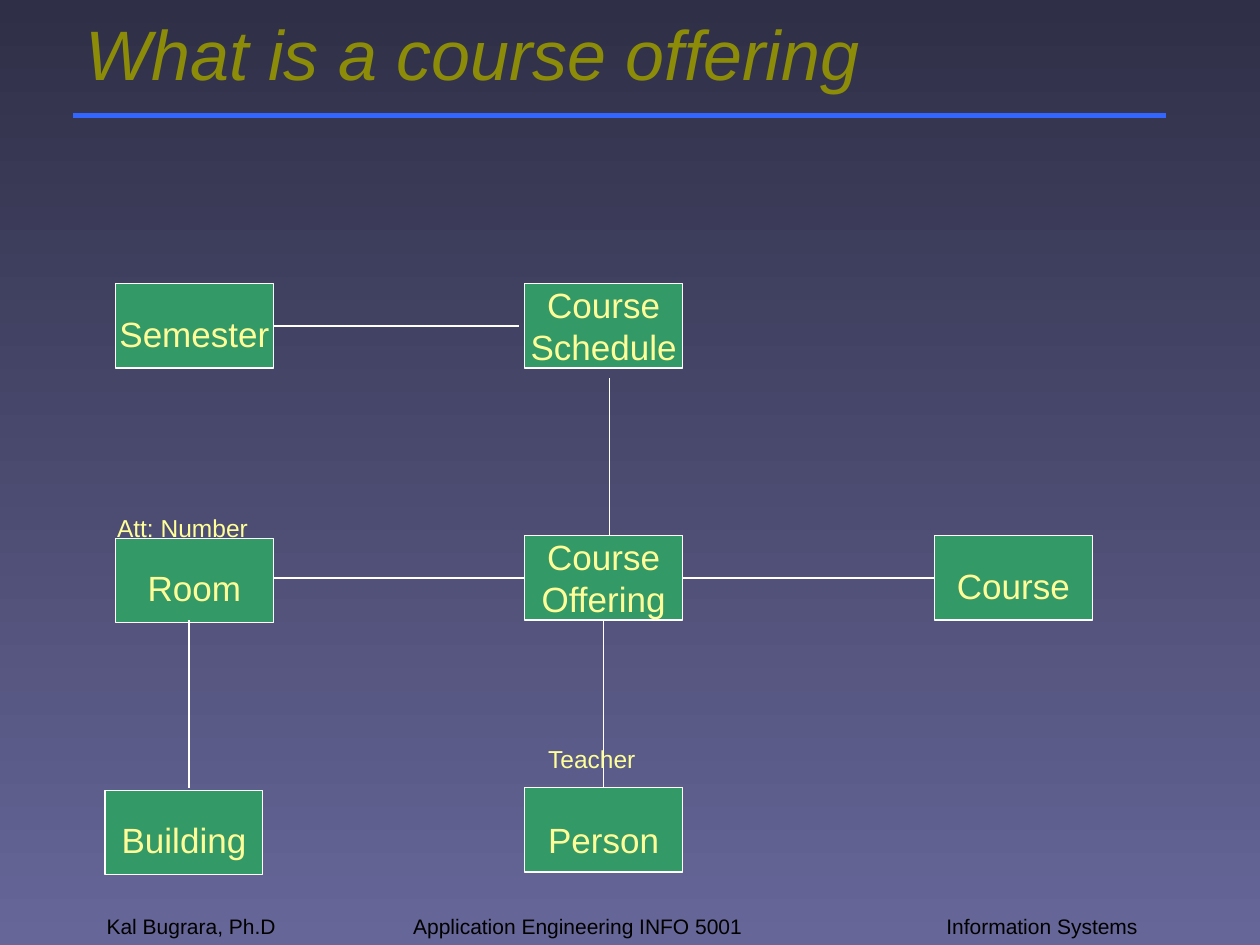
from lxml import etree
from pptx import Presentation
from pptx import util as u
from pptx.dml.color import RGBColor
from pptx.enum import shapes, text
from pptx.oxml.ns import qn

Cm, Pt = u.Cm, u.Pt


def color(value):
    return RGBColor.from_string(value)


def write(shape, words, size, ink, tab=None, **options):
    """Fill a shape's text frame with one formatted paragraph."""
    frame = shape.text_frame
    layout = dict(word_wrap=True, auto_size=text.MSO_AUTO_SIZE.NONE,
                  vertical_anchor=options.get("anchor", text.MSO_ANCHOR.TOP),
                  margin_left=Cm(0.25), margin_right=Cm(0.25),
                  margin_top=Cm(options.get("top", 0.13)), margin_bottom=Cm(0.13))
    for name, value in layout.items():
        setattr(frame, name, value)
    para = frame.paragraphs[0]
    para.alignment = options.get("align", text.PP_ALIGN.LEFT)
    if tab:
        stops = etree.SubElement(para._p.get_or_add_pPr(), qn("a:tabLst"))
        etree.SubElement(stops, qn("a:tab"), pos=str(Cm(tab)), algn="l")
    span = para.add_run()
    span.text = words
    style = dict(name="Arial", size=Pt(size), italic=options.get("italic", False))
    for name, value in style.items():
        setattr(span.font, name, value)
    span.font.color.rgb = color(ink)


deck = Presentation()
deck.slide_width, deck.slide_height = Cm(25.4), Cm(19.05)
page = deck.slides.add_slide(deck.slide_layouts[5])

# Background gradient, dark at the top
fill = page.background.fill
fill.gradient()
fill.gradient_angle = 270
for stop, (position, shade) in zip(fill.gradient_stops, [(0, "2F2F47"), (1, "666699")]):
    stop.position = position
    stop.color.rgb = color(shade)

# Title
title = page.shapes.title
place = dict(left=Cm(1.48), top=Cm(0), width=Cm(22.01), height=Cm(2.12))
for name, value in place.items():
    setattr(title, name, value)
write(title, "What is a course offering", 40, "8C8C08",
      anchor=text.MSO_ANCHOR.MIDDLE, italic=True)

# Entity boxes: left, top, caption offset from the box top
BOX_WIDTH, BOX_HEIGHT = 3.18, 1.7
LEFT, MIDDLE, RIGHT = 2.33, 10.58, 18.84
ONE_LINE, TWO_LINES = 0.38, -0.2
entities = {
    "Semester": (LEFT, 5.72, ONE_LINE),
    "Course Schedule": (MIDDLE, 5.72, TWO_LINES),
    "Room": (LEFT, 10.85, ONE_LINE),
    "Course Offering": (MIDDLE, 10.8, TWO_LINES),
    "Course": (RIGHT, 10.8, ONE_LINE),
    "Building": (2.12, 15.93, ONE_LINE),
    "Person": (MIDDLE, 15.88, 0.43),
}
boxes = {}
for name, (left, top, offset) in entities.items():
    box = page.shapes.add_shape(shapes.MSO_SHAPE.RECTANGLE, Cm(left), Cm(top),
                                Cm(BOX_WIDTH), Cm(BOX_HEIGHT))
    box.shadow.inherit = False
    box.fill.solid()
    box.fill.fore_color.rgb = color("339966")
    box.line.color.rgb = color("FFFFFF")
    box.line.width = Pt(0.75)
    boxes[name] = box
    height = 1.96 if offset == TWO_LINES else 1.12
    caption = page.shapes.add_textbox(Cm(left - 0.42), Cm(top + offset),
                                      Cm(4.02), Cm(height))
    write(caption, name, 20, "FFFF99", top=0.2, align=text.PP_ALIGN.CENTER)

# Lines: start, end, colour, width, joined start, joined end
lines = [
    ((1.48, 2.33), (23.5, 2.33), "3366FF", 3, None, None),
    ((5.51, 6.57), (10.46, 6.57), "FFFFFF", 0.75, ("Semester", 3), None),
    ((10.58, 11.65), (5.51, 11.65), "FFFFFF", 0.75, ("Course Offering", 1), None),
    ((13.76, 11.65), (18.84, 11.65), "FFFFFF", 0.75, ("Course Offering", 3), ("Course", 1)),
    ((12.28, 7.62), (12.28, 10.8), "FFFFFF", 0.75, None, None),
    ((12.17, 15.88), (12.17, 12.5), "FFFFFF", 0.75, ("Person", 0), ("Course Offering", 2)),
    ((3.81, 15.88), (3.81, 12.5), "FFFFFF", 0.75, None, None),
]
for start, end, ink, width, first, last in lines:
    line = page.shapes.add_connector(shapes.MSO_CONNECTOR.STRAIGHT,
                                     *map(Cm, start + end))
    if first:
        line.begin_connect(boxes[first[0]], first[1])
    if last:
        line.end_connect(boxes[last[0]], last[1])
    line.line.color.rgb = color(ink)
    line.line.width = Pt(width)
    etree.SubElement(line._element.spPr, qn("a:effectLst"))

# Small labels and footers: words, left, top, width, height, size, colour, options
footer = dict(anchor=text.MSO_ANCHOR.BOTTOM)
notes = [
    ("Att: Number", 2.11, 10.16, 3.81, 0.86, 14, "FFFF99", dict(top=0.18)),
    ("Teacher", 10.8, 14.81, 3.81, 0.86, 14, "FFFF99", dict(top=0.18)),
    ("Kal Bugrara, Ph.D", 1.9, 17.78, 5.28, 1.27, 12, "000000", footer),
    ("Application Engineering INFO 5001\tInformation Systems",
     8.08, 17.78, 15.24, 1.27, 12, "000000", dict(footer, tab=10.75)),
]
for words, left, top, width, height, size, ink, options in notes:
    note = page.shapes.add_textbox(Cm(left), Cm(top), Cm(width), Cm(height))
    write(note, words, size, ink, **options)

deck.save("out.pptx")
